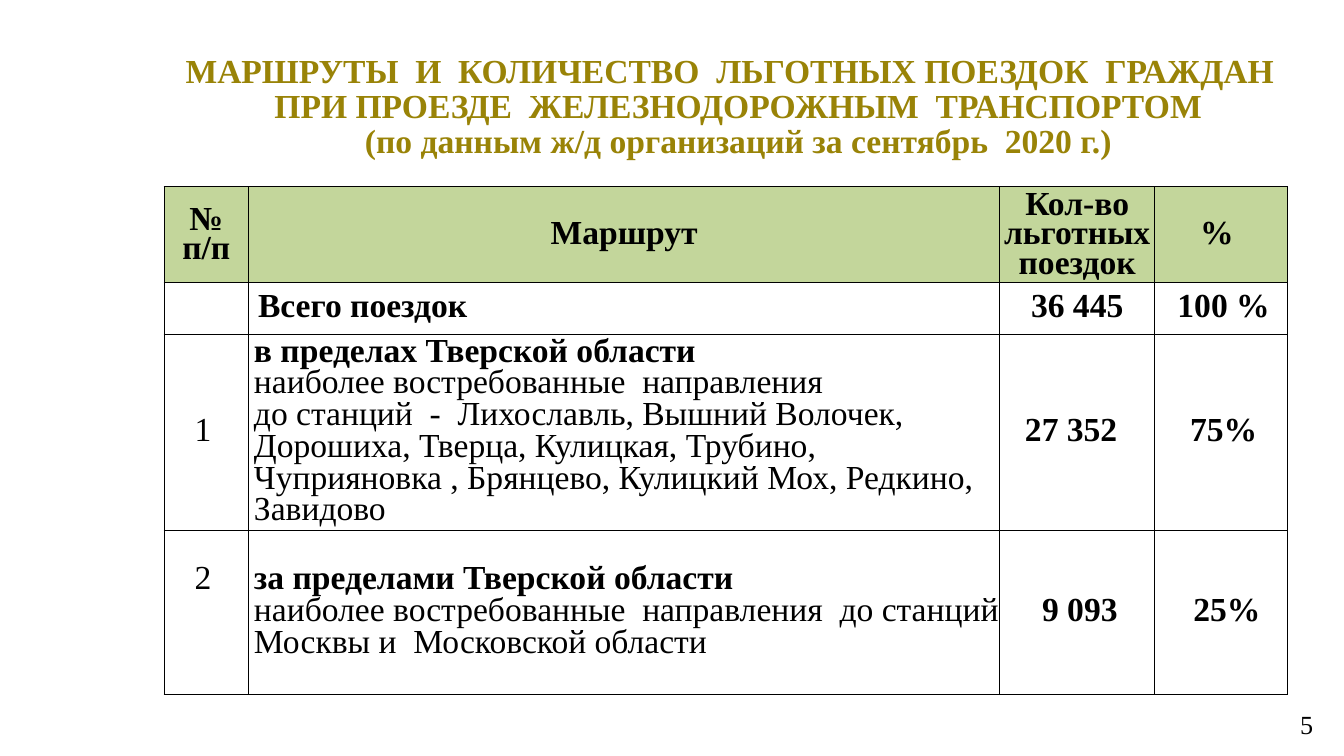
import pptx
import pptx.util
import pptx.dml.color
import pptx.enum.text
from lxml import etree

Inches, Pt = pptx.util.Inches, pptx.util.Pt
ALIGN = pptx.enum.text.PP_ALIGN
MIDDLE = pptx.enum.text.MSO_ANCHOR.MIDDLE
FONT = "Times New Roman"
COLORS = {"title": "998307", "text": "000000", "header": "C3D69B",
          "body": "FFFFFF", "border": "000000"}

TITLE = [
    "МАРШРУТЫ  И  КОЛИЧЕСТВО  ЛЬГОТНЫХ ПОЕЗДОК  ГРАЖДАН   "
    "ПРИ ПРОЕЗДЕ  ЖЕЛЕЗНОДОРОЖНЫМ  ТРАНСПОРТОМ",
    "(по данным ж/д организаций за сентябрь  2020 г.)",
]
PAGE = "5"
HEADER = ["№\vп/п", "Маршрут", "Кол-во льготных поездок", "%"]
ROWS = [
    ("", ["Всего поездок"], "36 445", "100 %"),
    ("1", ["в пределах Тверской области",
           "наиболее востребованные  направления",
           "до станций  -  Лихославль, Вышний Волочек, Дорошиха, Тверца, "
           "Кулицкая, Трубино, Чуприяновка , Брянцево, Кулицкий Мох, "
           "Редкино, Завидово"], "27 352", "75%"),
    ("2", ["за пределами Тверской области",
           "наиболее востребованные  направления  до станций "
           "Москвы и  Московской области"], "9 093", "25%"),
]
COL_WIDTHS = [0.63, 5.59, 1.15, 0.99]
ROW_HEIGHTS = [0.71, 0.39, 1.46, 1.22]
HEADER_INSETS = (0, 0.04, 0, 0)
BODY_INSETS = [(0, 0.02, 0.05, 0.02)] + [(0.04, 0.02, 0, 0.02)] * 3
SPECIAL_INSETS = {
    (0, 3): (0, 0.04, 0.06, 0),
    (1, 1): (0.07, 0.02, 0, 0.02),
    (1, 2): (0.04, 0.02, 0.04, 0.02),
    (2, 2): (0, 0.02, 0.09, 0.02),
    (3, 0): (0, 0.02, 0.05, 0.5),
    (3, 3): (0.09, 0.02, 0, 0.02),
}


def rgb(name):
    return pptx.dml.color.RGBColor.from_string(COLORS[name])


def write(tf, lines, size, align, color="text", spacing=None, bold=lambda i: True):
    for i, line in enumerate(lines):
        p = tf.paragraphs[0] if i == 0 else tf.add_paragraph()
        p.text = line
        p.alignment = align
        if spacing:
            p.line_spacing = Pt(spacing)
        p.font.name = FONT
        p.font.size = Pt(size)
        p.font.bold = bold(i)
        p.font.color.rgb = rgb(color)


def add_text(slide, box, lines, size, align, **style):
    tf = slide.shapes.add_textbox(*map(Inches, box)).text_frame
    tf.word_wrap = True
    tf.vertical_anchor = MIDDLE
    write(tf, lines, size, align, **style)


def add_borders(cell):
    tcPr = cell._tc.get_or_add_tcPr()
    ns = "http://schemas.openxmlformats.org/drawingml/2006/main"
    for i, side in enumerate(("lnL", "lnR", "lnT", "lnB")):
        ln = etree.Element(f"{{{ns}}}{side}", w=str(Pt(0.5)))
        fill = etree.SubElement(ln, f"{{{ns}}}solidFill")
        etree.SubElement(fill, f"{{{ns}}}srgbClr", val=COLORS["border"])
        tcPr.insert(i, ln)


def fill_cell(cell, row, col, content):
    insets = HEADER_INSETS if row == 0 else BODY_INSETS[col]
    insets = SPECIAL_INSETS.get((row, col), insets)
    (cell.margin_left, cell.margin_top,
     cell.margin_right, cell.margin_bottom) = map(Inches, insets)
    cell.vertical_anchor = MIDDLE
    cell.fill.solid()
    cell.fill.fore_color.rgb = rgb("header" if row == 0 else "body")
    add_borders(cell)
    lines = content if isinstance(content, list) else [content]
    align = ALIGN.LEFT if row and col == 1 else ALIGN.CENTER
    write(cell.text_frame, lines, 18, align, spacing=17 if row else 16,
          bold=lambda i: i == 0 and (row == 0 or col > 0))


def main():
    prs = pptx.Presentation()
    prs.slide_width = Inches(10)
    prs.slide_height = prs.slide_width * 9 // 16
    slide = prs.slides.add_slide(prs.slide_layouts[6])

    add_text(slide, (7.62, 5.24, 2.25, 0.3), [PAGE], 14, ALIGN.RIGHT,
             bold=lambda i: False)

    size = (sum(COL_WIDTHS), sum(ROW_HEIGHTS))
    table = slide.shapes.add_table(len(ROW_HEIGHTS), len(COL_WIDTHS),
                                   *map(Inches, (1.22, 1.39, *size))).table
    for column, width in zip(table.columns, COL_WIDTHS):
        column.width = Inches(width)
    for row, height in zip(table.rows, ROW_HEIGHTS):
        row.height = Inches(height)
    for r, values in enumerate([HEADER, *ROWS]):
        for c, content in enumerate(values):
            fill_cell(table.cell(r, c), r, c, content)

    add_text(slide, (1.28, 0.33, 8.43, 0.94), TITLE, 18, ALIGN.CENTER,
             color="title", spacing=19)
    prs.save("out.pptx")


if __name__ == "__main__":
    main()
